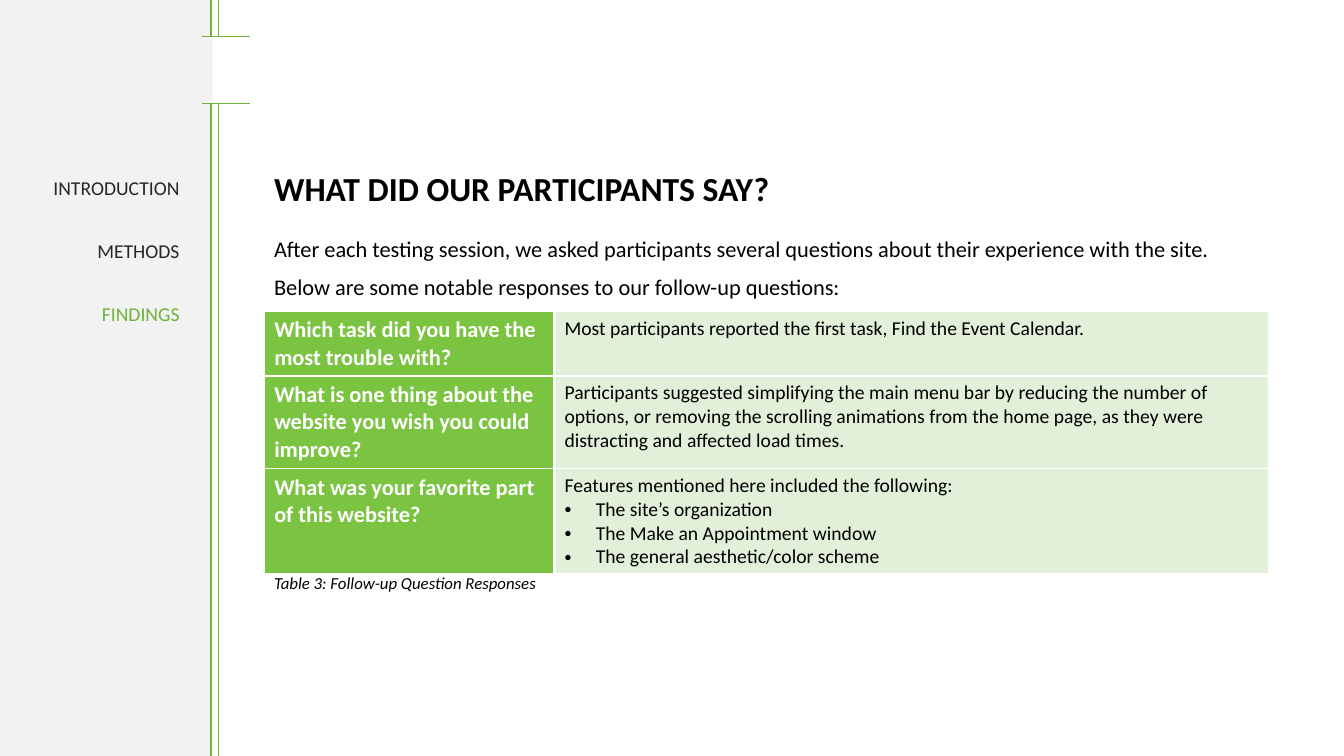
from lxml import etree
from pptx import Presentation
from pptx.dml.color import RGBColor
from pptx.enum.shapes import MSO_CONNECTOR, MSO_SHAPE
from pptx.enum.text import MSO_ANCHOR, PP_ALIGN
from pptx.oxml.ns import qn
from pptx.util import Inches, Pt

STRAIGHT, RECT = MSO_CONNECTOR.STRAIGHT, MSO_SHAPE.RECTANGLE
LEFT, RIGHT = PP_ALIGN.LEFT, PP_ALIGN.RIGHT
TOP, MIDDLE = MSO_ANCHOR.TOP, MSO_ANCHOR.MIDDLE

FONT = "Calibri"
COLORS = {"panel": "F2F2F2", "rule": "6FB238", "question": "7BC441", "answer": "E2F0D9",
          "black": "000000", "nav": "262626", "white": "FFFFFF"}

TITLE = "WHAT DID OUR PARTICIPANTS SAY?"
INTRO = ["After each testing session, we asked participants several questions about their experience with the site.",
         "Below are some notable responses to our follow-up questions:"]
NAV = ["INTRODUCTION", "METHODS", "FINDINGS"]
CURRENT = "FINDINGS"
RESPONSES = [
    ("Which task did you have the most trouble with?",
     ["Most participants reported the first task, Find the Event Calendar."], 0.64),
    ("What is one thing about the website you wish you could improve?",
     ["Participants suggested simplifying the main menu bar by reducing the number of options, or removing "
      "the scrolling animations from the home page, as they were distracting and affected load times."], 0.92),
    ("What was your favorite part of this website?",
     ["Features mentioned here included the following:", "The site’s organization",
      "The Make an Appointment window", "The general aesthetic/color scheme"], 1.04),
]
CAPTION = "Table 3: Follow-up Question Responses"

WIDTH, HEIGHT = 13.33, 7.5
PANEL_W, THIN_X = 2.09, 2.16
GAP_TOP, GAP_BOTTOM = 0.36, 1.03
CONTENT_X, TABLE_Y = 2.62, 3.09
COLUMNS = [2.88, 7.08]
RECTS = [(0, 0, PANEL_W, HEIGHT), (1.76, GAP_TOP, 0.35, GAP_BOTTOM - GAP_TOP)]
RULES = [(THIN_X, 0, THIN_X, GAP_TOP, 0.25), (THIN_X, GAP_BOTTOM, THIN_X, HEIGHT, 0.25)]
RULES += [(2, y, 2.48, y, 0.5) for y in (GAP_TOP, GAP_BOTTOM)]


def rgb(name):
    return RGBColor.from_string(COLORS[name])


def add_rect(slide, x, y, w, h):
    sp = slide.shapes.add_shape(RECT, Inches(x), Inches(y), Inches(w), Inches(h))
    sp.shadow.inherit = False
    sp.fill.solid()
    sp.fill.fore_color.rgb = rgb("panel")
    sp.line.fill.background()


def add_rule(slide, x1, y1, x2, y2, weight):
    ln = slide.shapes.add_connector(STRAIGHT, Inches(x1), Inches(y1), Inches(x2), Inches(y2))
    ln.line.color.rgb = rgb("rule")
    ln.line.width = Pt(weight)
    etree.SubElement(ln._element.spPr, qn("a:effectLst"))


def write(tf, lines, size=14, color="black", bold=False, italic=False, align=LEFT,
          spacing=1.0, before=0, bullets=False, accents=()):
    tf.word_wrap = True
    for i, line in enumerate(lines):
        p = tf.paragraphs[0] if i == 0 else tf.add_paragraph()
        p.alignment, p.line_spacing = align, spacing
        p.space_before = Pt(before if i else 0)
        if bullets and i:
            pPr = p._p.get_or_add_pPr()
            pPr.set("marL", str(Inches(0.31)))
            pPr.set("indent", str(-Inches(0.31)))
            etree.SubElement(pPr, qn("a:buFont")).set("typeface", "Arial")
            etree.SubElement(pPr, qn("a:buChar")).set("char", "•")
        r = p.add_run()
        r.text = line
        r.font.name, r.font.size = FONT, Pt(size)
        r.font.bold, r.font.italic = bold, italic
        r.font.color.rgb = rgb("rule" if line in accents else color)


def add_text(slide, x, y, w, h, lines, anchor=TOP, **fmt):
    tf = slide.shapes.add_textbox(Inches(x), Inches(y), Inches(w), Inches(h)).text_frame
    tf.vertical_anchor = anchor
    write(tf, lines, spacing=0.9, **fmt)


def style_cell(cell, fill, borders):
    tcPr = cell._tc.get_or_add_tcPr()
    for side, weight in borders:
        ln = etree.SubElement(tcPr, qn(f"a:ln{side}"), w=str(Pt(weight)))
        solid = etree.SubElement(ln, qn("a:solidFill"))
        etree.SubElement(solid, qn("a:srgbClr"), val=COLORS["white"])
    cell.fill.solid()
    cell.fill.fore_color.rgb = rgb(fill)


def add_responses(slide):
    heights = [row[2] for row in RESPONSES]
    table = slide.shapes.add_table(len(RESPONSES), len(COLUMNS), Inches(CONTENT_X), Inches(TABLE_Y),
                                   Inches(sum(COLUMNS)), Inches(sum(heights))).table
    table.first_row = table.horz_banding = False
    for col, w in zip(table.columns, COLUMNS):
        col.width = Inches(w)
    for row, (question, answer, h) in zip(table.rows, RESPONSES):
        row.height = Inches(h)
        left, right = row.cells
        style_cell(left, "question", [("R", 3), ("T", 1), ("B", 1)])
        style_cell(right, "answer", [("L", 3), ("T", 1), ("B", 1)])
        write(left.text_frame, [question], size=16, color="white", bold=True)
        write(right.text_frame, answer, bullets=True)


def main():
    """Build the follow-up question slide."""
    prs = Presentation()
    prs.slide_width, prs.slide_height = Inches(WIDTH), Inches(HEIGHT)
    slide = prs.slides.add_slide(prs.slide_layouts[6])
    panel, notch = RECTS
    add_rect(slide, *panel)
    add_rule(slide, PANEL_W, 0, PANEL_W, HEIGHT, 1.5)
    add_rect(slide, *notch)
    for rule in RULES:
        add_rule(slide, *rule)
    add_text(slide, CONTENT_X, 1.48, 7.37, 0.83, [TITLE], anchor=MIDDLE, size=24, bold=True)
    add_text(slide, CONTENT_X, 2.31, 10.4, 0.85, INTRO, size=16, before=10)
    add_text(slide, 0.14, 1.72, 1.74, 3.94, NAV, color="nav", align=RIGHT, before=30, accents=[CURRENT])
    add_responses(slide)
    add_text(slide, CONTENT_X, 5.66, 5.94, 0.32, [CAPTION], size=12, italic=True)
    prs.save("out.pptx")


if __name__ == "__main__":
    main()
